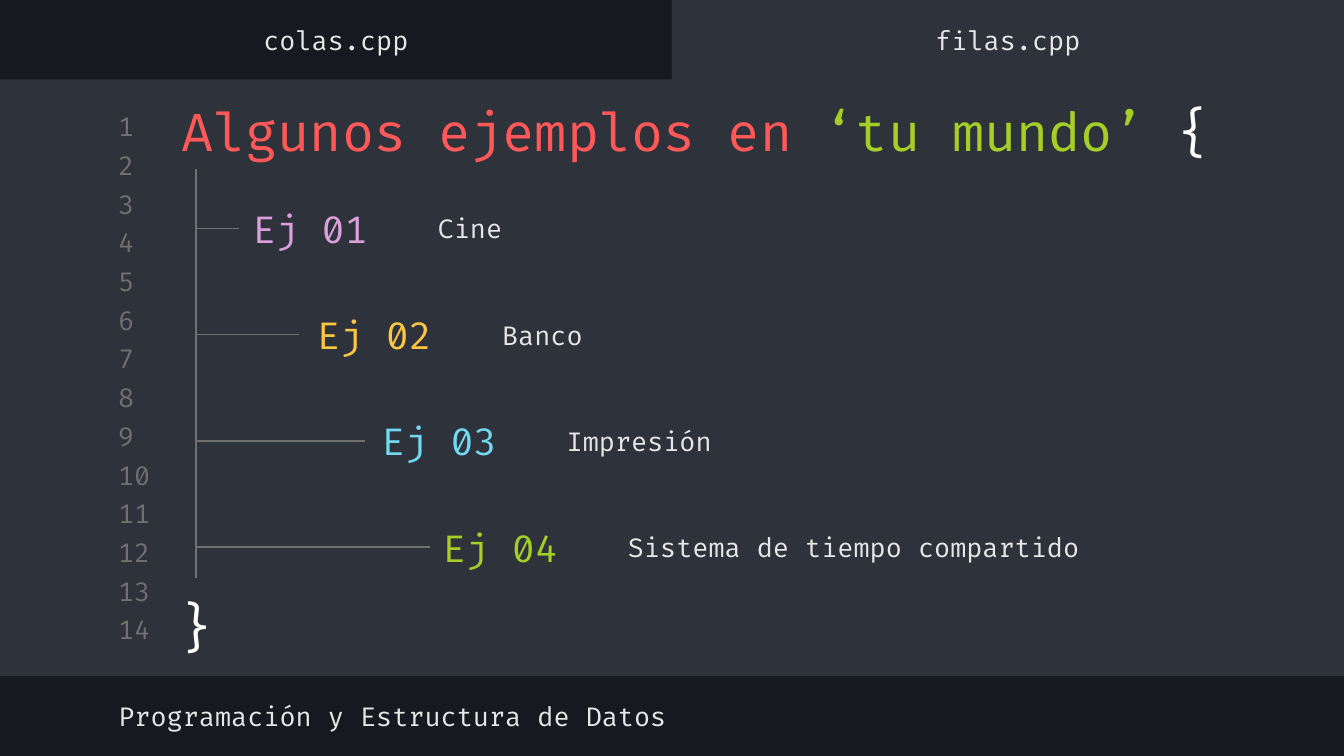
import pptx
import pptx.dml.color
import pptx.enum.shapes
import pptx.enum.text
import pptx.oxml.ns
import pptx.util
from lxml import etree

Pt = pptx.util.Pt
ALIGN = pptx.enum.text.PP_ALIGN
ANCHOR = pptx.enum.text.MSO_ANCHOR

DARK, PANEL, GREY, LIGHT = "16191F", "2E323B", "707070", "E7E7E7"
RED, GREEN, WHITE = "FF5858", "A5CF27", "FFFFFF"
PURPLE, YELLOW, BLUE = "DBA0DB", "FCC642", "72D9F0"


def color(value):
    return pptx.dml.color.RGBColor.from_string(value)


def write(box, *spans, size=14, align=ALIGN.LEFT, anchor=ANCHOR.MIDDLE):
    """Fill a box with one paragraph made of (text, colour) spans."""
    frame = box.text_frame
    frame.word_wrap = True
    frame.auto_size = pptx.enum.text.MSO_AUTO_SIZE.NONE
    frame.vertical_anchor = anchor
    frame.margin_left = frame.margin_right = Pt(7.2)
    frame.margin_top = frame.margin_bottom = Pt(7.2)
    para = frame.paragraphs[0]
    para.alignment = align
    para.space_before = Pt(0)
    for text, fill in spans:
        span = para.add_run()
        span.text = text
        span.font.name = "Fira Code"
        span.font.size = Pt(size)
        span.font.color.rgb = color(fill)


class CodeSlide:
    def __init__(self, deck):
        self.page = deck.slides.add_slide(deck.slide_layouts[0])
        self.page.background.fill.solid()
        self.page.background.fill.fore_color.rgb = color(DARK)

    def panel(self, left, top, width, height):
        """Add a flat rectangle behind the placeholders."""
        shape = self.page.shapes.add_shape(
            pptx.enum.shapes.MSO_SHAPE.RECTANGLE,
            Pt(left), Pt(top), Pt(width), Pt(height))
        shape.shadow.inherit = False
        shape.fill.solid()
        shape.fill.fore_color.rgb = color(PANEL)
        shape.line.fill.background()
        self.page.shapes.title.element.addprevious(shape.element)

    def placeholder(self, index, left, top, width, height, *spans, **style):
        box = self.page.placeholders[index]
        box.left, box.top = Pt(left), Pt(top)
        box.width, box.height = Pt(width), Pt(height)
        write(box, *spans, **style)

    def text(self, left, top, width, height, *spans, **style):
        box = self.page.shapes.add_textbox(
            Pt(left), Pt(top), Pt(width), Pt(height))
        write(box, *spans, **style)

    def line(self, x1, y1, x2, y2):
        line = self.page.shapes.add_connector(
            pptx.enum.shapes.MSO_CONNECTOR.STRAIGHT,
            Pt(x1), Pt(y1), Pt(x2), Pt(y2))
        line.line.color.rgb = color(GREY)
        line.line.width = Pt(0.75)
        etree.SubElement(line.element.spPr, pptx.oxml.ns.qn("a:effectLst"))


def main():
    deck = pptx.Presentation()
    deck.slide_width, deck.slide_height = Pt(720), Pt(405)
    slide = CodeSlide(deck)

    slide.panel(0, 42.5, 720, 319.7)
    slide.panel(360, 0, 360, 46.8)
    slide.placeholder(
        0, 90, 46.1, 573.8, 42.5, ("Algunos ejemplos en ", RED),
        ("‘tu mundo’ ", GREEN), ("{", WHITE), size=28, anchor=ANCHOR.TOP)
    slide.placeholder(1, 56.2, 369.4, 383, 28.1,
                      ("Programación y Estructura de Datos", LIGHT))

    for column, name in enumerate(["colas.cpp", "filas.cpp"]):
        slide.text(360 * column, 7.2, 360, 28.1, (name, LIGHT),
                   align=ALIGN.CENTER)
    for number in range(1, 15):
        slide.text(56.2, 59 + 20.74 * (number - 1), 33.8, 17.3,
                   (str(number), GREY))

    trunk = 105.1
    slide.line(trunk, 90.7, trunk, 309.6)
    examples = [
        ("Ej 01", "Cine", PURPLE, 128.2, 128.2),
        ("Ej 02", "Banco", YELLOW, 162.7, 160.2),
        ("Ej 03", "Impresión", BLUE, 197.3, 195.8),
        ("Ej 04", "Sistema de tiempo compartido", GREEN, 230.1, 230.4),
    ]
    for row, (label, detail, fill, left, branch_end) in enumerate(examples):
        middle = 122.4 + 56.9 * row
        top = middle - 23
        slide.line(trunk, middle, branch_end, middle)
        slide.text(left, top, 102.2, 46, (label, fill), size=20)
        slide.text(left + 99.2, top, 313.2, 46, (detail, LIGHT))

    slide.text(85.7, 311, 39.6, 48.2, ("}", WHITE), size=28,
               align=ALIGN.CENTER, anchor=ANCHOR.TOP)
    deck.save("out.pptx")


if __name__ == "__main__":
    main()
